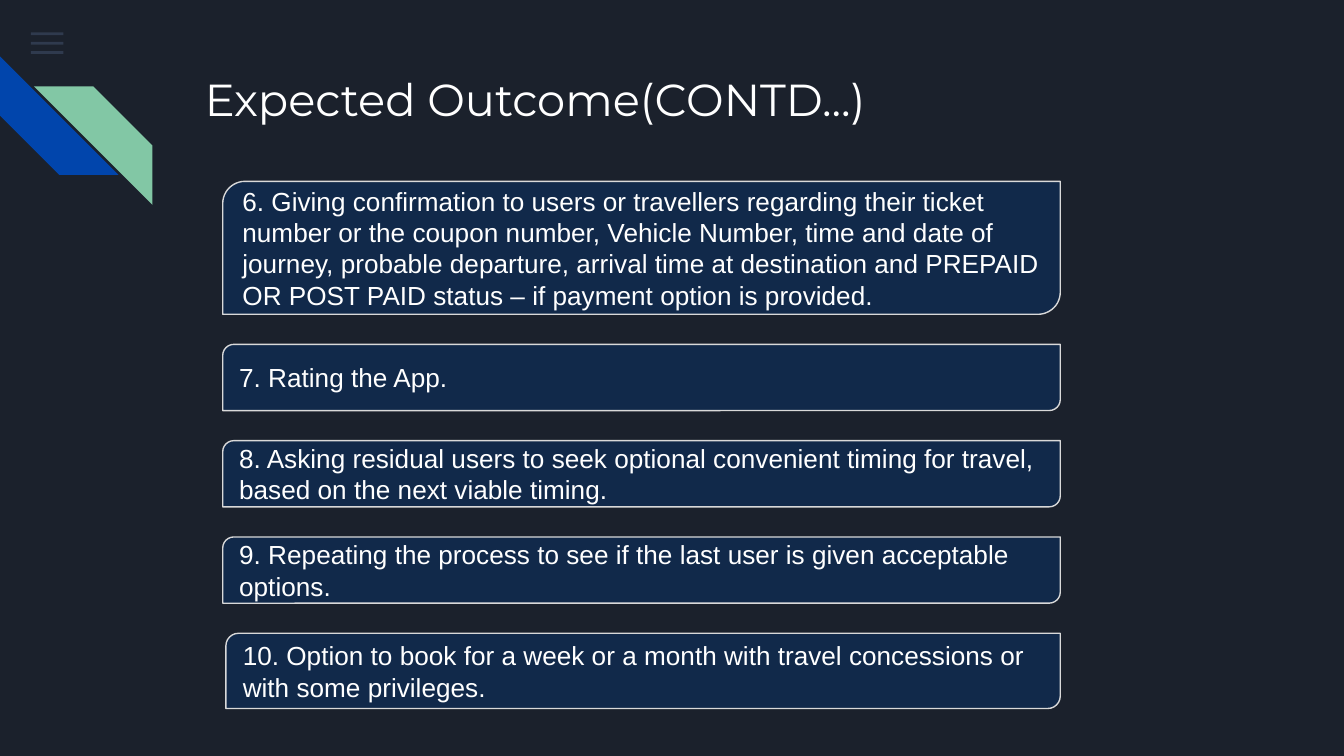
"""Build the dark "Expected Outcome" slide with five stacked outcome boxes."""
from lxml import etree
from pptx import Presentation
from pptx.dml.color import RGBColor
from pptx.enum.shapes import MSO_SHAPE as Shape
from pptx.enum.text import MSO_ANCHOR as Anchor, MSO_AUTO_SIZE as AutoSize, PP_ALIGN as Align
from pptx.oxml.ns import qn
from pptx.util import Pt

COLORS = {
    "background": "1B212C",
    "menu": "55688B",
    "blue": "0145AC",
    "green": "82C7A5",
    "box": "11294A",
    "outline": "D9D9D9",
    "text": "FFFFFF",
}
OUTCOMES = [
    ("6. Giving confirmation to users or travellers regarding their ticket number or the coupon number, "
     "Vehicle Number, time and date of journey, probable departure, arrival time at destination and "
     "PREPAID OR POST PAID status – if payment option is provided.", 119.3, 71.2),
    ("7. Rating the App.", 119.3, 35.5),
    ("8. Asking residual users to seek optional convenient timing for travel, "
     "based on the next viable timing.", 119.3, 35.5),
    ("9. Repeating the process to see if the last user is given acceptable options.", 119.3, 35.5),
    ("10. Option to book for a week or a month with travel concessions or with some privileges.", 121, 40.3),
]
BOX_RIGHT = 568
BOX_GAP = 16.1


def add_filled(page, kind, left, top, width, height, color):
    shape = page.shapes.add_shape(kind, Pt(left), Pt(top), Pt(width), Pt(height))
    shape.shadow.inherit = False
    shape.fill.solid()
    shape.fill.fore_color.rgb = RGBColor.from_string(COLORS[color])
    shape.line.fill.background()
    return shape


def format_text(frame, anchor, font_name, size):
    frame.word_wrap = True
    frame.auto_size = AutoSize.NONE
    frame.vertical_anchor = anchor
    frame.margin_left = frame.margin_right = frame.margin_top = frame.margin_bottom = Pt(7.2)
    para = frame.paragraphs[0]
    para.alignment = Align.LEFT
    for span in para.runs:
        span.font.name = font_name
        span.font.size = Pt(size)
        span.font.color.rgb = RGBColor.from_string(COLORS["text"])


deck = Presentation()
deck.slide_width, deck.slide_height = Pt(720), Pt(405)
page = deck.slides.add_slide(deck.slide_layouts[5])
page.background.fill.solid()
page.background.fill.fore_color.rgb = RGBColor.from_string(COLORS["background"])

for row in range(3):
    bar = add_filled(page, Shape.RECTANGLE, 16.6, 17.4 + 5 * row, 17.4, 1.5, "menu")
    tint = bar.fill._xPr.find(qn("a:solidFill"))[0]
    etree.SubElement(tint, qn("a:alpha"), val="36000")

for left, top, angle, color in [(0, 30.2, 270, "blue"), (18.2, 46.3, 90, "green")]:
    stripe = add_filled(page, Shape.DIAGONAL_STRIPE, left, top, 63.5, 63.5, color)
    stripe.adjustments[0] = 0.5
    stripe.rotation = angle

title = page.shapes.title
title.left, title.top, title.width, title.height = Pt(102.5), Pt(31), Pt(473), Pt(50.4)
title.text_frame.text = "Expected Outcome(CONTD...)"
format_text(title.text_frame, Anchor.TOP, "Montserrat", 24)

top = 97.2
for text, left, height in OUTCOMES:
    box = add_filled(page, Shape.ROUND_2_DIAG_RECTANGLE, left, top, BOX_RIGHT - left, height, "box")
    box.adjustments[0] = 0.167
    box.line.color.rgb = RGBColor.from_string(COLORS["outline"])
    box.line.width = Pt(0.75)
    box.text_frame.text = text
    format_text(box.text_frame, Anchor.MIDDLE, "Arial", 14)
    top += height + BOX_GAP

deck.save("out.pptx")
